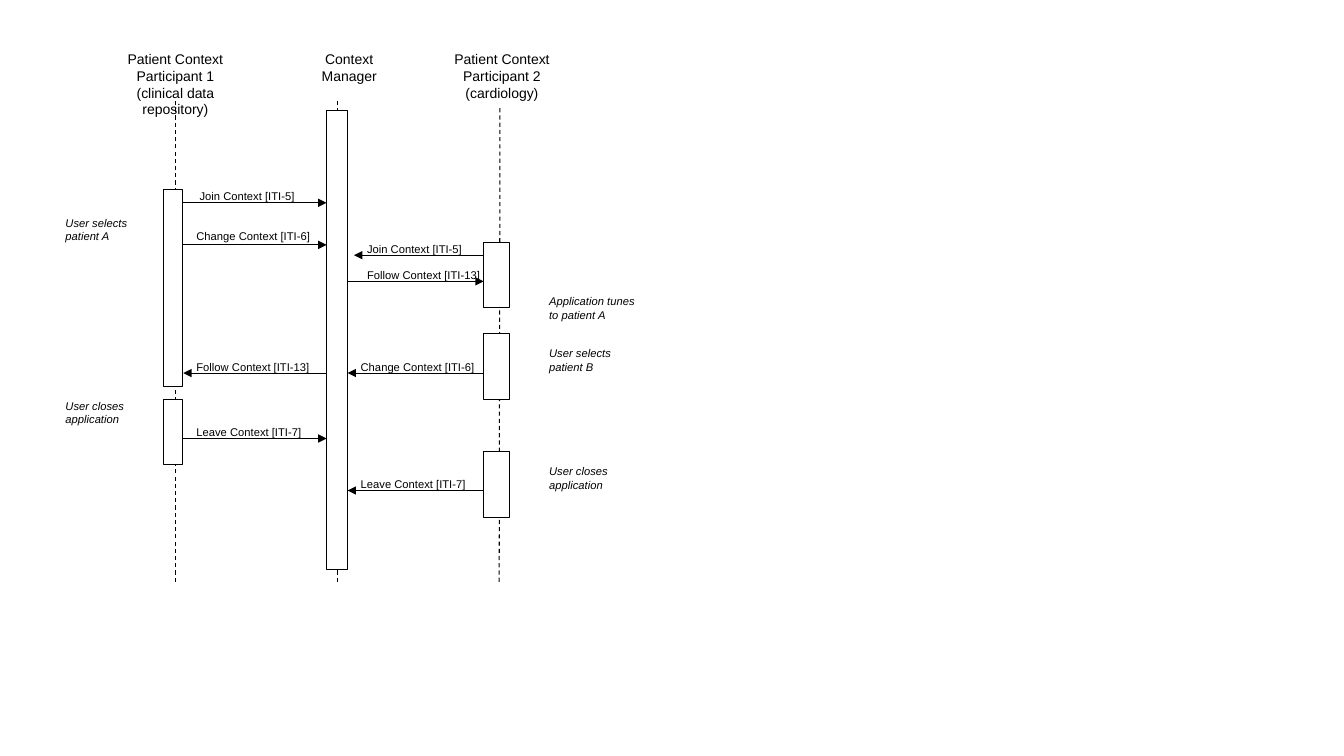
from lxml import etree
from pptx import Presentation
from pptx.dml import color
from pptx.enum import dml, shapes, text
from pptx.oxml import ns
from pptx.util import Cm, Pt

FONT = "Arial"
BLACK, WHITE = "000000", "FFFFFF"

LIFELINE_BOTTOM = 14.66
BAR_HEIGHT = 1.65
TEXT_LEFT, TEXT_RIGHT = 4.95, 9.09
NOTE_LEFT, NOTE_RIGHT = 1.65, 13.84

# left, width, height, paragraphs (each a list of lines)
HEADERS = [
    (3.10, 2.64, 1.85, [["Patient Context"],
                        ["Participant 1 (clinical data repository)"]]),
    (7.49, 2.62, 0.89, [["Context"], ["Manager"]]),
    (11.38, 2.54, 1.42, [["Patient Context", "Participant 2 (cardiology)"]]),
]
# x at bottom, x at top, top
LIFELINES = [(4.42, 4.42, 2.54), (8.51, 8.51, 2.54), (12.58, 12.60, 2.70)]
# left, width, [(top, height)]
ACTIVATIONS = [
    (4.11, 0.48, [(4.78, 4.95), (10.06, BAR_HEIGHT)]),
    (8.23, 0.53, [(2.79, 11.56)]),
    (12.19, 0.66, [(top, BAR_HEIGHT) for top in (6.10, 8.41, 11.38)]),
]
# label, label left, label height, arrow start, arrow end, arrow y
MESSAGES = [
    ("Join Context [ITI-5]", 5.03, 0.33, 4.62, 8.23, 5.11),
    ("Change Context [ITI-6]", TEXT_LEFT, 0.40, 4.62, 8.23, 6.17),
    ("Join Context [ITI-5]", 9.25, 0.33, 12.52, 8.92, 6.43),
    ("Follow Context [ITI-13]", 9.25, 0.33, 8.59, 12.19, 7.09),
    ("Follow Context [ITI-13]", TEXT_LEFT, 0.33, 8.23, 4.62, 9.40),
    ("Change Context [ITI-6]", TEXT_RIGHT, 0.33, 12.40, 8.76, 9.40),
    ("Leave Context [ITI-7]", TEXT_LEFT, 0.33, 4.62, 8.23, 11.05),
    ("Leave Context [ITI-7]", TEXT_RIGHT, 0.33, 12.40, 8.76, 12.36),
]
# text, left, top, width, height
NOTES = [
    ("User selects patient A", NOTE_LEFT, 5.44, 1.98, 0.84),
    ("User closes application", NOTE_LEFT, 10.06, 1.98, 0.84),
    ("Application tunes to patient A", NOTE_RIGHT, 7.42, 2.31, 0.66),
    ("User selects patient B", NOTE_RIGHT, 8.74, 2.31, 0.66),
    ("User closes application", NOTE_RIGHT, 11.71, 1.98, 0.66),
]


def rgb(hex_string):
    return color.RGBColor.from_string(hex_string)


def add_box(slide, left, top, width, height, outlined):
    shape = slide.shapes.add_shape(shapes.MSO_SHAPE.RECTANGLE, Cm(left),
                                   Cm(top), Cm(width), Cm(height))
    shape.shadow.inherit = False
    shape.fill.solid()
    shape.fill.fore_color.rgb = rgb(WHITE)
    if outlined:
        shape.line.color.rgb = rgb(BLACK)
        shape.line.width = Pt(0.75)
    else:
        shape.line.fill.background()
    return shape


def add_text(slide, left, top, width, height, paragraphs, size=8,
             italic=False, align=text.PP_ALIGN.LEFT):
    frame = add_box(slide, left, top, width, height, False).text_frame
    frame.word_wrap = True
    frame.vertical_anchor = text.MSO_ANCHOR.TOP
    frame.margin_left = frame.margin_right = 0
    frame.margin_top = frame.margin_bottom = 0
    for index, lines in enumerate(paragraphs):
        paragraph = frame.add_paragraph() if index else frame.paragraphs[0]
        paragraph.alignment = align
        for number, line in enumerate(lines):
            if number:
                paragraph.add_line_break()
            run = paragraph.add_run()
            run.text = line
            run.font.name = FONT
            run.font.size = Pt(size)
            run.font.italic = italic
            run.font.color.rgb = rgb(BLACK)


def add_line(slide, start_x, start_y, end_x, end_y, dashed=False, arrow=False):
    connector = slide.shapes.add_connector(
        shapes.MSO_CONNECTOR.STRAIGHT,
        Cm(start_x), Cm(start_y), Cm(end_x), Cm(end_y))
    connector.line.color.rgb = rgb(BLACK)
    connector.line.width = Pt(0.75)
    if dashed:
        connector.line.dash_style = dml.MSO_LINE.DASH
    if arrow:
        tail = etree.SubElement(connector.line._get_or_add_ln(),
                                ns.qn("a:tailEnd"))
        tail.set("type", "triangle")
    etree.SubElement(connector._element.spPr, ns.qn("a:effectLst"))


def main():
    presentation = Presentation()
    presentation.slide_width = Cm(33.87)
    presentation.slide_height = Cm(19.05)
    slide = presentation.slides.add_slide(presentation.slide_layouts[6])

    # Participants and their lifelines
    for left, width, height, paragraphs in HEADERS:
        add_text(slide, left, 1.27, width, height, paragraphs, size=10,
                 align=text.PP_ALIGN.CENTER)
    for bottom_x, top_x, top in LIFELINES:
        add_line(slide, bottom_x, LIFELINE_BOTTOM, top_x, top, dashed=True)

    # Messages: each label rests on its arrow
    for label, left, height, start, end, y in MESSAGES:
        add_text(slide, left, y - height, 3.2, height, [[label]])
        add_line(slide, start, y, end, y, arrow=True)

    # Activation bars
    for left, width, spans in ACTIVATIONS:
        for top, height in spans:
            add_box(slide, left, top, width, height, True)

    # User action notes
    for note, left, top, width, height in NOTES:
        add_text(slide, left, top, width, height, [[note]], italic=True)

    presentation.save("out.pptx")


if __name__ == "__main__":
    main()
